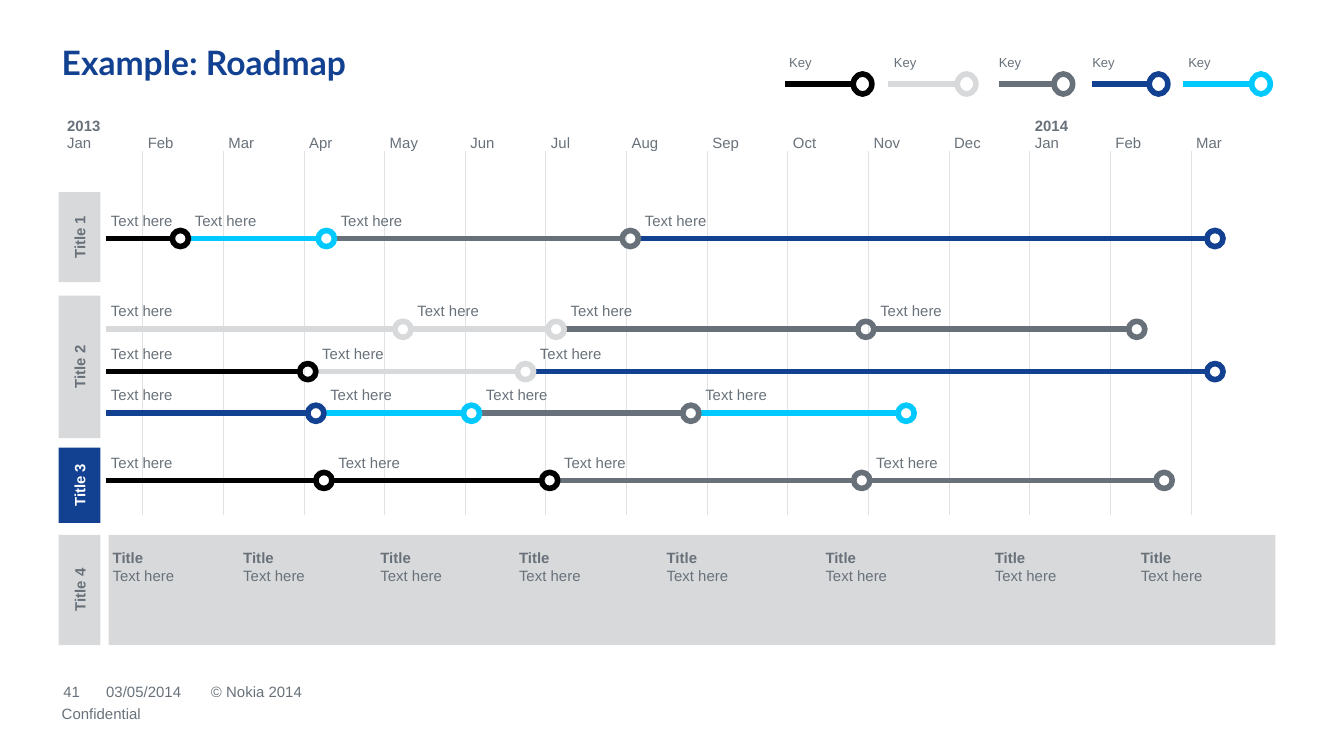
from lxml import etree
from pptx import Presentation
from pptx.dml.color import RGBColor
from pptx.enum.shapes import MSO_CONNECTOR, MSO_SHAPE
from pptx.enum.text import MSO_ANCHOR, PP_ALIGN
from pptx.oxml import parse_xml
from pptx.oxml.ns import nsdecls, qn
from pptx.util import Inches, Pt

STRAIGHT = MSO_CONNECTOR.STRAIGHT
OVAL, RECTANGLE = MSO_SHAPE.OVAL, MSO_SHAPE.RECTANGLE
TOP, MIDDLE, BOTTOM = MSO_ANCHOR.TOP, MSO_ANCHOR.MIDDLE, MSO_ANCHOR.BOTTOM
CENTER = PP_ALIGN.CENTER

BLACK, LIGHT, GREY, BLUE, CYAN = "000000", "D8D9DA", "68717A", "124191", "00C9FF"
WHITE, GRID_LINE = "FFFFFF", "E2E2E2"

# Slide of 16:9 in inches
SLIDE_WIDTH = 10
SLIDE_HEIGHT = SLIDE_WIDTH * 9 / 16
# Grid in inches: one column is a month, counted from the left margin
COLUMN, ROW, MARGIN = 0.6, 0.1, 0.46

MONTHS = ["2013\nJan", "Feb", "Mar", "Apr", "May", "Jun", "Jul", "Aug",
          "Sep", "Oct", "Nov", "Dec", "2014\nJan", "Feb", "Mar"]
# Start column, ring column, label column, colour
KEYS = [(8.97, 9.93, 9.02, BLACK), (10.25, 11.22, 10.32, LIGHT),
        (11.62, 12.42, 11.62, GREY), (12.78, 13.6, 12.78, BLUE),
        (13.9, 14.87, 13.97, CYAN)]
# Row of each lane, then its milestones as (month, colour)
LANES = [
    (17.75, [(1.47, BLACK), (3.28, CYAN), (7.05, GREY), (14.3, BLUE)]),
    (24.5, [(4.23, LIGHT), (6.13, LIGHT), (9.97, GREY), (13.33, GREY)]),
    (27.65, [(3.05, BLACK), (5.75, LIGHT), (14.3, BLUE)]),
    (30.75, [(3.15, BLUE), (5.08, CYAN), (7.8, GREY), (10.47, CYAN)]),
    (35.75, [(3.25, BLACK), (6.05, BLACK), (9.92, GREY), (13.67, GREY)]),
]
# Top row, number of rows, caption, fill, text colour
SECTIONS = [(14.3, 6.7, "Title 1", LIGHT, GREY), (22, 10.6, "Title 2", LIGHT, GREY),
            (33.3, 5.6, "Title 3", BLUE, WHITE), (39.8, 8.2, "Title 4", LIGHT, GREY)]
NOTE_COLUMNS = [0.63, 2.25, 3.95, 5.67, 7.5, 9.47, 11.57, 13.38]


def x(column):
    return Inches(MARGIN + column * COLUMN)


def y(row):
    return Inches(row * ROW)


def width(columns):
    return Inches(columns * COLUMN)


def color(value):
    return RGBColor.from_string(value)


def write(frame, text, size=8, tint=GREY, font="Arial", bold_lines=0, anchor=TOP):
    frame.vertical_anchor = anchor
    frame.text = text
    for index, paragraph in enumerate(frame.paragraphs):
        paragraph.font.name = font
        paragraph.font.size = Pt(size)
        paragraph.font.bold = index < bold_lines
        paragraph.font.color.rgb = color(tint)


def add_text(slide, box, text, wrap=True, **style):
    left, top, columns, rows = box
    frame = slide.shapes.add_textbox(x(left), y(top), width(columns), y(rows)).text_frame
    frame.margin_left = frame.margin_right = frame.margin_top = frame.margin_bottom = 0
    frame.word_wrap = wrap
    write(frame, text, **style)


def add_segment(slide, start, end, row, tint):
    connector = slide.shapes.add_connector(STRAIGHT, x(start), y(row), x(end), y(row))
    connector.line.color.rgb = color(tint)
    connector.line.width = Pt(3)
    etree.SubElement(connector._element.spPr, qn("a:effectLst"))


def add_ring(slide, column, row, columns, rows, tint):
    ring = slide.shapes.add_shape(OVAL, x(column - columns / 2), y(row - rows / 2),
                                  width(columns), y(rows))
    ring.shadow.inherit = False
    ring.fill.background()
    ring.line.color.rgb = color(tint)
    ring.line.width = Pt(3)


def add_panel(slide, left, top, panel_width, panel_height, fill):
    panel = slide.shapes.add_shape(RECTANGLE, left, top, panel_width, panel_height)
    panel.shadow.inherit = False
    panel.fill.solid()
    panel.fill.fore_color.rgb = color(fill)
    panel.line.fill.background()
    return panel


def add_calendar(slide, box):
    left, top, columns, row_heights = box
    table = slide.shapes.add_table(len(row_heights), columns, x(left), y(top),
                                   width(columns), y(sum(row_heights))).table
    table.first_row = table.horz_banding = False
    for column in table.columns:
        column.width = width(1)
    for row, height in zip(table.rows, row_heights):
        row.height = y(height)
    for cell in table.iter_cells():
        cell.fill.background()
        cell.margin_left = Inches(0.04)
        cell.margin_right = cell.margin_top = cell.margin_bottom = 0
    for index, month in enumerate(MONTHS):
        write(table.cell(0, index).text_frame, month, bold_lines=month.count("\n"))
        table.cell(0, index).vertical_anchor = BOTTOM
        # Month dividers on the inner sides of the lower row
        sides = ["lnR"] * (index < columns - 1) + ["lnL"] * (index > 0)
        properties = table.cell(1, index)._tc.get_or_add_tcPr()
        for side in sides:
            properties.insert(0, parse_xml(
                f'<a:{side} {nsdecls("a")} w="3175"><a:solidFill>'
                f'<a:srgbClr val="{GRID_LINE}"/></a:solidFill></a:{side}>'))


def add_legend(slide, row):
    for start, ring, label, tint in KEYS:
        add_segment(slide, start, ring - 0.11, row, tint)
        add_ring(slide, ring, row, 0.23, 1.5, tint)
        add_text(slide, (label, row - 2.2, 0.9, 1.2), "Key", size=7, anchor=BOTTOM)


def add_lane(slide, start, row, milestones):
    label = start + 0.06
    for month, tint in milestones:
        add_segment(slide, start, month - 0.1, row, tint)
        add_text(slide, (label, row - 2, 0.82, 1.3), "Text here", wrap=False, anchor=BOTTOM)
        start, label = month + 0.1, month + 0.18
    # Rings lie over the ends of the segments
    for month, tint in milestones:
        add_ring(slide, month, row, 0.2, 1.2, tint)


def add_section_tab(slide, box, caption, fill, tint):
    left, top, columns, rows = box
    # The tab is turned a quarter, so its length runs down the slide
    length, thickness = y(rows), width(columns)
    shift = (length - thickness) // 2
    tab = add_panel(slide, x(left) - shift, y(top) + shift, length, thickness, fill)
    tab.rotation = 270
    tab.text_frame.word_wrap = False
    write(tab.text_frame, caption, tint=tint, bold_lines=1, anchor=MIDDLE)
    tab.text_frame.paragraphs[0].alignment = CENTER


def add_notes_band(slide, box):
    left, top, columns, rows = box
    add_panel(slide, x(left), y(top), width(columns), y(rows), LIGHT)
    for column in NOTE_COLUMNS:
        add_text(slide, (column, top + 1, 1.7, rows - 1), "Title\nText here", bold_lines=1)


def add_footer(slide, row):
    add_text(slide, (0.02, row, 0.27, 1.5), "41")
    add_text(slide, (0.55, row, 1.25, 1.5), "03/05/2014")
    add_text(slide, (1.85, row, 11, 1.3), "© Nokia 2014")
    add_text(slide, (0, row + 1.6, 11, 1.4), "Confidential")


def main():
    presentation = Presentation()
    presentation.slide_width = Inches(SLIDE_WIDTH)
    presentation.slide_height = Inches(SLIDE_HEIGHT)
    slide = presentation.slides.add_slide(presentation.slide_layouts[6])

    add_text(slide, (0, 3.1, 15, 3.4), "Example: Roadmap", size=18, tint=BLUE,
             font="Lato", bold_lines=1)
    add_calendar(slide, (0, 7.1, len(MONTHS), (4.2, 27)))
    add_legend(slide, 6.25)
    add_notes_band(slide, (0.58, 39.8, 14.47, 8.2))
    for top, rows, caption, fill, tint in SECTIONS:
        add_section_tab(slide, (-0.04, top, 0.52, rows), caption, fill, tint)
    for row, milestones in LANES:
        add_lane(slide, 0.55, row, milestones)
    add_footer(slide, 50.8)

    presentation.save("out.pptx")


if __name__ == "__main__":
    main()
